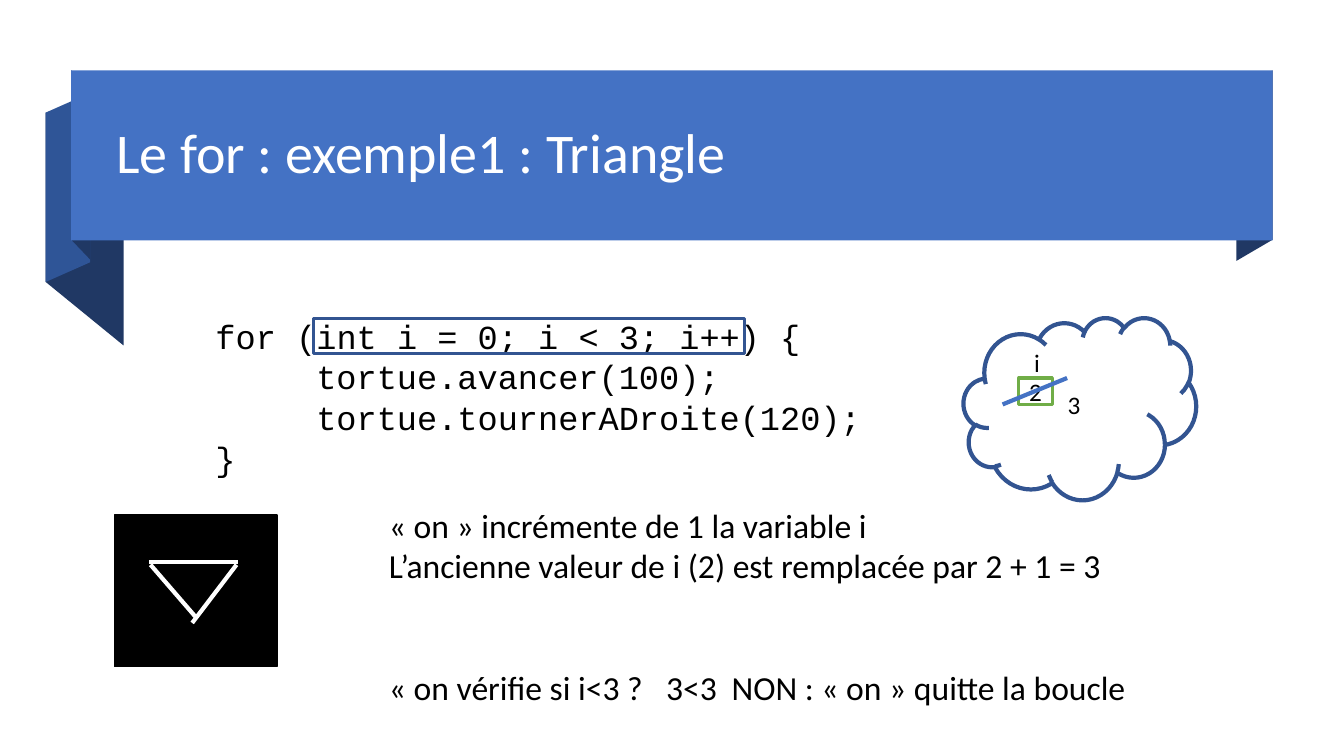
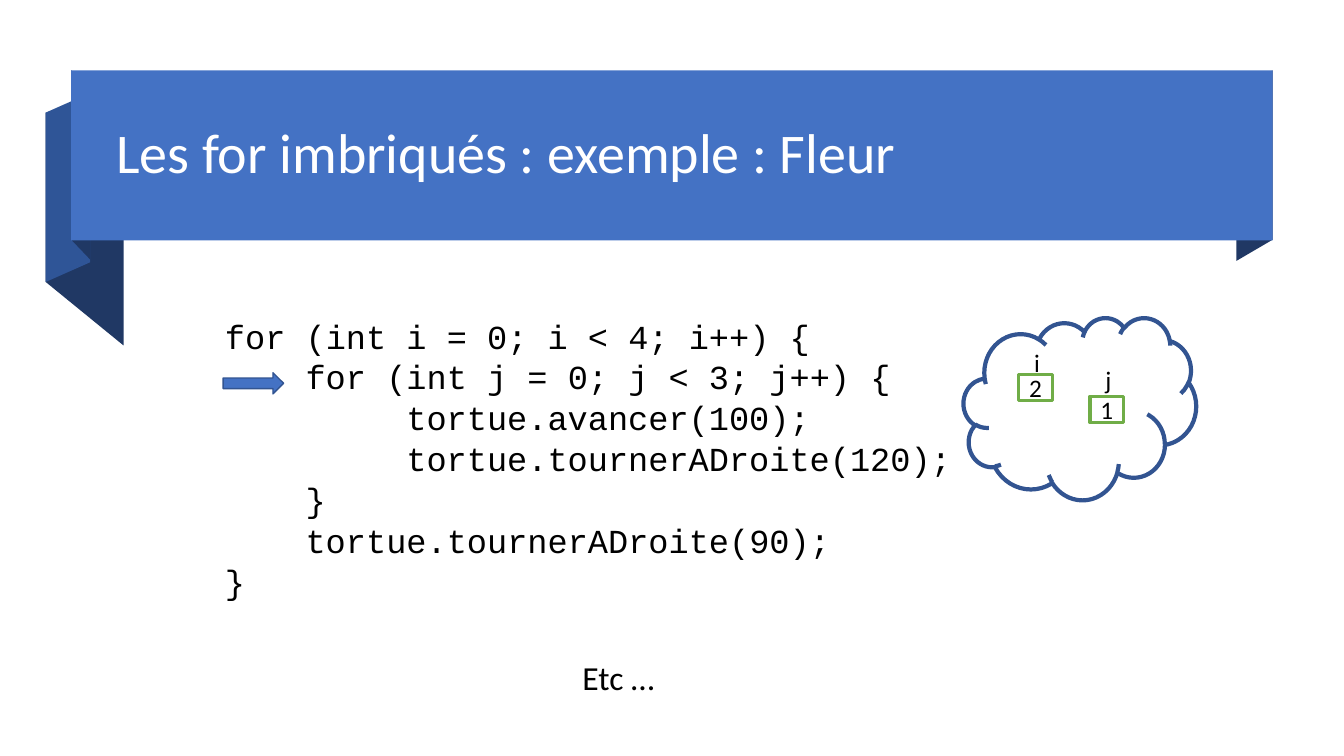
from lxml import etree
from pptx import Presentation
from pptx.dml.color import RGBColor
from pptx.enum.shapes import MSO_CONNECTOR, MSO_SHAPE
from pptx.enum.text import MSO_ANCHOR, PP_ALIGN
from pptx.oxml.ns import qn
from pptx.util import Inches, Pt

RECTANGLE, CLOUD = MSO_SHAPE.RECTANGLE, MSO_SHAPE.CLOUD
RIGHT_ARROW, STRAIGHT = MSO_SHAPE.RIGHT_ARROW, MSO_CONNECTOR.STRAIGHT
LEFT, CENTER = PP_ALIGN.LEFT, PP_ALIGN.CENTER
TOP, MIDDLE = MSO_ANCHOR.TOP, MSO_ANCHOR.MIDDLE

WIDTH, HEIGHT = Inches(13.333), Inches(7.5)
BLUE, MID_BLUE, NAVY = "4472C4", "2F5597", "203864"
OUTLINE, GREEN = "325491", "70AD47"
BLACK, WHITE = "000000", "FFFFFF"
SANS, MONO = "Calibri", "Courier New"
CODE_CHAR = Inches(0.2)  # advance of one character of code
CODE_PITCH = Pt(29.2)
TITLE_ONLY = 5

# Ribbon folds: left, its top, right, its top, colour (percent of the slide)
FOLD_DEPTH = 22.4
FOLDS = [
    (3.4, 14.9, 9.2, 23.3, NAVY),
    (3.4, 14.9, 6.7, 12.3, MID_BLUE),
    (5.3, 9.3, 6.7, 11.9, NAVY),
    (92, 12.1, 94.7, 9.3, NAVY),
]


def color(hex_code):
    return RGBColor.from_string(hex_code)


def across(percent):
    return round(WIDTH * percent / 100)


def down(percent):
    return round(HEIGHT * percent / 100)


def area(left, top, width, height):
    return across(left), down(top), across(width), down(height)


def write(shape, lines, *, size=24, font=SANS, ink=BLACK, align=LEFT,
          anchor=TOP, spacing=None):
    """Fill a shape with one paragraph per line, all in the same format."""
    frame = shape.text_frame
    frame.word_wrap = True
    frame.vertical_anchor = anchor
    for number, line in enumerate(lines):
        paragraph = frame.add_paragraph() if number else frame.paragraphs[0]
        paragraph.alignment = align
        paragraph.line_spacing = spacing
        run = paragraph.add_run()
        run.text = line
        run.font.size, run.font.name = Pt(size), font
        run.font.color.rgb = color(ink)
    return frame.paragraphs


def text(slide, box, lines, **style):
    return write(slide.shapes.add_textbox(*area(*box)), lines, **style)


def paint(shape, fill=None, line=None, weight=1):
    shape.shadow.inherit = False
    if fill:
        shape.fill.solid()
        shape.fill.fore_color.rgb = color(fill)
    else:
        shape.fill.background()
    if line:
        shape.line.color.rgb = color(line)
        shape.line.width = Pt(weight)
    else:
        shape.line.fill.background()
    return shape


def figure(slide, kind, box, **look):
    return paint(slide.shapes.add_shape(kind, *area(*box)), **look)


def stroke(slide, start, end, ink):
    line = slide.shapes.add_connector(
        STRAIGHT, across(start[0]), down(start[1]), across(end[0]), down(end[1]))
    line.line.color.rgb = color(ink)
    line.line.width = Pt(3)
    etree.SubElement(line._element.spPr, qn("a:effectLst"))


def fold(slide, left, left_top, right, right_top, fill):
    builder = slide.shapes.build_freeform(across(left), down(left_top))
    corners = [(right, right_top), (right, right_top + FOLD_DEPTH),
               (left, left_top + FOLD_DEPTH)]
    builder.add_line_segments([(across(x), down(y)) for x, y in corners])
    paint(builder.convert_to_shape(), fill=fill)


def ribbon_slide(deck, heading):
    """Add a slide with the folded ribbon and its title."""
    slide = deck.slides.add_slide(deck.slide_layouts[TITLE_ONLY])
    for piece in FOLDS:
        fold(slide, *piece)
    figure(slide, RECTANGLE, (5.3, 9.3, 89.4, 22.5), fill=BLUE)
    title = slide.shapes.title
    title.left, title.top, title.width, title.height = area(7.9, 11.7, 84.2, 17.7)
    write(title, [heading], size=40, ink=WHITE, anchor=MIDDLE, spacing=0.9)
    slide.shapes._spTree.append(title._element)  # bring above the ribbon
    return slide


def code(slide, left, width, lines):
    """Write code given as (indent in characters, statement) pairs."""
    box = (left, 41, width, 5.4 * len(lines) + 1.3)
    paragraphs = text(slide, box, [statement for _, statement in lines],
                      font=MONO, spacing=CODE_PITCH)
    for paragraph, (indent, _) in zip(paragraphs, lines):
        properties = paragraph._p.get_or_add_pPr()
        properties.set("marL", str(indent * CODE_CHAR))
        properties.set("indent", "0")


def set_tabs(paragraph, positions):
    tabs = etree.SubElement(paragraph._p.get_or_add_pPr(), qn("a:tabLst"))
    for position in positions:
        etree.SubElement(tabs, qn("a:tab"), pos=str(Inches(position)), algn="l")


def memory(slide):
    figure(slide, CLOUD, (71.7, 42, 17.3, 24.1), line=OUTLINE, weight=3)


def variable(slide, name, value, left, name_top, value_top):
    text(slide, (left + 0.4, name_top, 3, 5.3), [name], size=18)
    cell = figure(slide, RECTANGLE, (left, value_top, 2.5, 3.5),
                  fill=WHITE, line=GREEN, weight=2.25)
    cell.text_frame.margin_left = cell.text_frame.margin_right = 0
    write(cell, [value], size=18, align=CENTER, anchor=MIDDLE)


def triangle_slide(deck):
    slide = ribbon_slide(deck, "Le for : exemple1 : Triangle")
    code(slide, 15.3, 52, [
        (0, "for (int i = 0; i < 3; i++) {"),
        (5, "tortue.avancer(100);"),
        (5, "tortue.tournerADroite(120);"),
        (0, "}"),
    ])
    # Frame around the loop header
    figure(slide, RECTANGLE, (23.3, 42.1, 32.1, 4.7), line=OUTLINE, weight=2.25)

    # Memory: the old value is struck out
    memory(slide)
    variable(slide, "i", "2", 75.8, 45.3, 50)
    text(slide, (78.7, 50.9, 3, 5.3), ["3"], size=18)
    stroke(slide, (74.6, 53.5), (79.4, 50), BLUE)

    # Explanation
    steps = text(slide, (28.2, 66.1, 60, 28.3), [
        "« on » incrémente de 1 la variable i",
        "L’ancienne valeur de i (2) est remplacée par 2 + 1 = 3",
        "« on vérifie si i<3 ?\t3<3\tNON : « on » quitte la boucle",
    ])
    steps[-1].space_before = Pt(58)
    set_tabs(steps[-1], (2.75, 3.4))

    # Turtle drawing
    figure(slide, RECTANGLE, (8.5, 68.1, 12.1, 20.1), fill=BLACK, line=BLACK)
    for start, end in [((17.7, 74.3), (11.1, 74.3)),
                       ((17.6, 74.7), (14.3, 82.4)),
                       ((14.6, 81.7), (11.2, 74.7))]:
        stroke(slide, start, end, WHITE)


def flower_slide(deck):
    slide = ribbon_slide(deck, "Les for imbriqués : exemple : Fleur")
    code(slide, 16, 70, [
        (0, "for (int i = 0; i < 4; i++) {"),
        (4, "for (int j = 0; j < 3; j++) {"),
        (9, "tortue.avancer(100);"),
        (9, "tortue.tournerADroite(120);"),
        (4, "}"),
        (4, "tortue.tournerADroite(90);"),
        (0, "}"),
    ])
    # Current line
    figure(slide, RIGHT_ARROW, (16.6, 49.3, 4.5, 2.8), fill=BLUE, line=OUTLINE)

    memory(slide)
    variable(slide, "i", "2", 75.8, 45.3, 49.5)
    variable(slide, "j", "1", 81.1, 47.5, 52.4)
    text(slide, (42.6, 86.3, 10, 6.7), ["Etc …"])


def main():
    deck = Presentation()
    deck.slide_width, deck.slide_height = WIDTH, HEIGHT
    triangle_slide(deck)
    flower_slide(deck)
    deck.save("out.pptx")


if __name__ == "__main__":
    main()
